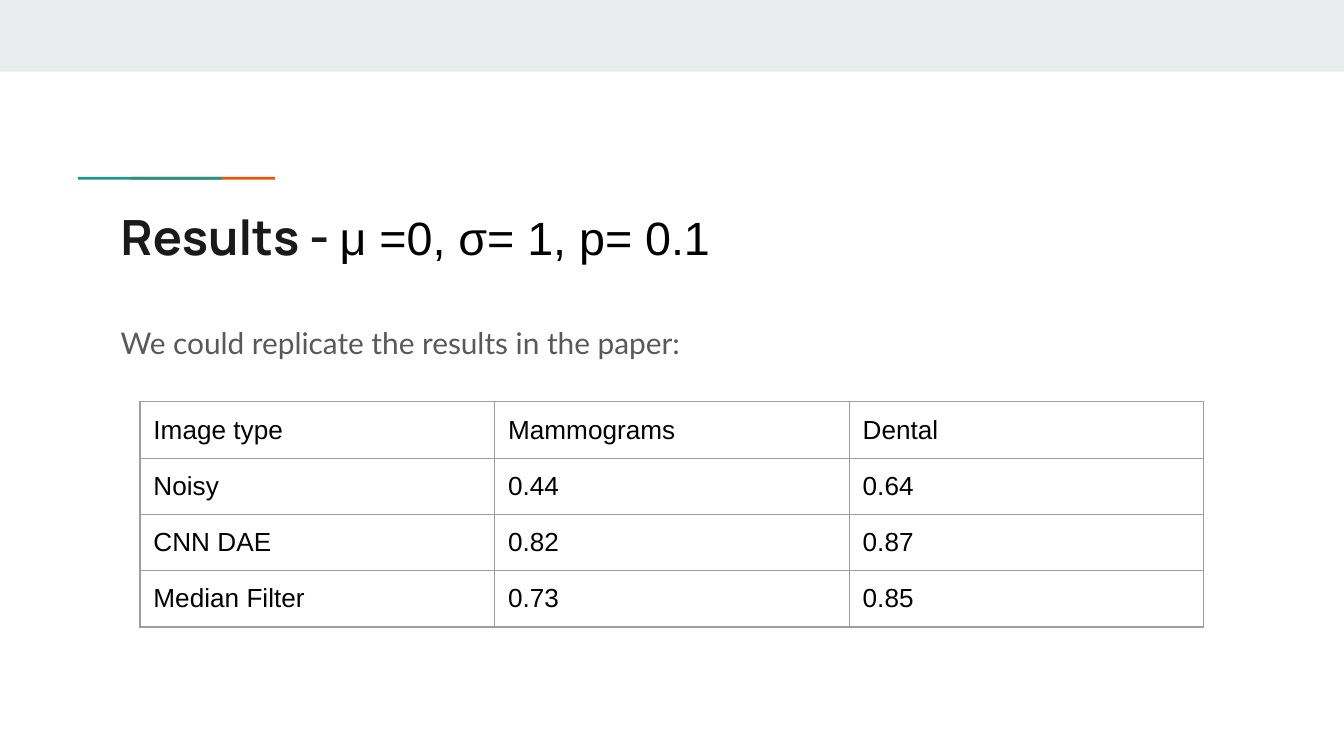
from lxml.etree import SubElement
from pptx import Presentation
from pptx.dml.color import RGBColor
from pptx.enum.shapes import MSO_SHAPE
from pptx.enum.text import MSO_ANCHOR, MSO_AUTO_SIZE, PP_ALIGN
from pptx.oxml import parse_xml
from pptx.oxml.ns import nsdecls, qn
from pptx.util import Pt

COLORS = {
    "band": "E9EDEE", "teal": "1A9988", "orange": "EB5600", "heading": "1A1A1A",
    "black": "000000", "body": "595959", "border": "9E9E9E",
}
INSET = 7.2
RESULTS = [
    ("Image type", "Mammograms", "Dental"),
    ("Noisy", "0.44", "0.64"),
    ("CNN DAE", "0.82", "0.87"),
    ("Median Filter", "0.73", "0.85"),
]


def rgb(name):
    return RGBColor.from_string(COLORS[name])


def format_run(r, size, font, color, bold=False):
    r.font.size = Pt(size)
    r.font.name = font
    r.font.bold = bold
    r.font.color.rgb = rgb(color)


def set_margins(target):
    """Give a text frame or a table cell the common inset."""
    for side in ("left", "top", "right", "bottom"):
        setattr(target, f"margin_{side}", Pt(INSET))


def add_bar(s, left, top, width, height, color):
    sp = s.shapes.add_shape(MSO_SHAPE.RECTANGLE, Pt(left), Pt(top), Pt(width), Pt(height))
    sp.shadow.inherit = False
    sp.fill.solid()
    sp.fill.fore_color.rgb = rgb(color)
    sp.line.fill.background()
    return sp


def add_accent(s, left, top, width, height):
    """Lay two upright bars on their side, the teal one over the orange one."""
    length = width * 0.73
    for center, color in ((left + width - length / 2, "orange"), (left + length / 2, "teal")):
        sp = add_bar(s, center - height / 2, top + (height - length) / 2, height, length, color)
        sp.rotation = 270


def place_text(sp, left, top, width, height):
    """Move a placeholder and return its first paragraph, left aligned."""
    sp.left, sp.top, sp.width, sp.height = Pt(left), Pt(top), Pt(width), Pt(height)
    tf = sp.text_frame
    tf.word_wrap = True
    tf.auto_size = MSO_AUTO_SIZE.NONE
    tf.vertical_anchor = MSO_ANCHOR.TOP
    set_margins(tf)
    p = tf.paragraphs[0]
    p.alignment = PP_ALIGN.LEFT
    p.space_before = Pt(0)
    return p


def fill_title(sp, left, top, width, height):
    p = place_text(sp, left, top, width, height)
    for text, style in (
        ("Results - ", (26, "Manrope", "heading", True)),
        ("μ =0, σ= 1, p= 0.1", (25, "Arial", "black")),
    ):
        r = p.add_run()
        r.text = text
        format_run(r, *style)


def fill_body(sp, left, top, width, height):
    p = place_text(sp, left, top, width, height)
    p.text = "We could replicate the results in the paper:"
    p.line_spacing = 1.15
    format_run(p.runs[0], 16, "Lato", "body")
    pPr = p._p.get_or_add_pPr()
    pPr.set("marL", "0")
    pPr.set("indent", "0")
    SubElement(pPr, qn("a:buNone"))


def add_borders(cell):
    tcPr = cell._tc.get_or_add_tcPr()
    for i, side in enumerate("LRTB"):
        tcPr.insert(i, parse_xml(
            f'<a:ln{side} {nsdecls("a")} w="{Pt(0.75)}"><a:solidFill>'
            f'<a:srgbClr val="{COLORS["border"]}"/></a:solidFill></a:ln{side}>'))


def add_results(s, left, top, width, height):
    table = s.shapes.add_table(len(RESULTS), len(RESULTS[0]),
                               Pt(left), Pt(top), Pt(width), Pt(height)).table
    table.first_row = table.horz_banding = False
    for row, values in enumerate(RESULTS):
        for col, value in enumerate(values):
            cell = table.cell(row, col)
            cell.text = value
            set_margins(cell)
            cell.fill.background()
            add_borders(cell)
            format_run(cell.text_frame.paragraphs[0].runs[0], 14, "Arial", "black")


def build_results_slide(prs):
    s = prs.slides.add_slide(prs.slide_layouts[1])
    add_bar(s, 0, 0, 720, 38.4, "band")
    add_accent(s, 41.8, 94.8, 105.7, 1.5)
    fill_title(s.shapes.title, 57.5, 103.7, 605.5, 42.5)
    fill_body(s.placeholders[1], 57.5, 163.8, 605.5, 177.8)
    add_results(s, 75, 215.3, 570, 120)


def main():
    prs = Presentation()
    prs.slide_width, prs.slide_height = Pt(720), Pt(405)
    build_results_slide(prs)
    prs.save("out.pptx")


if __name__ == "__main__":
    main()
